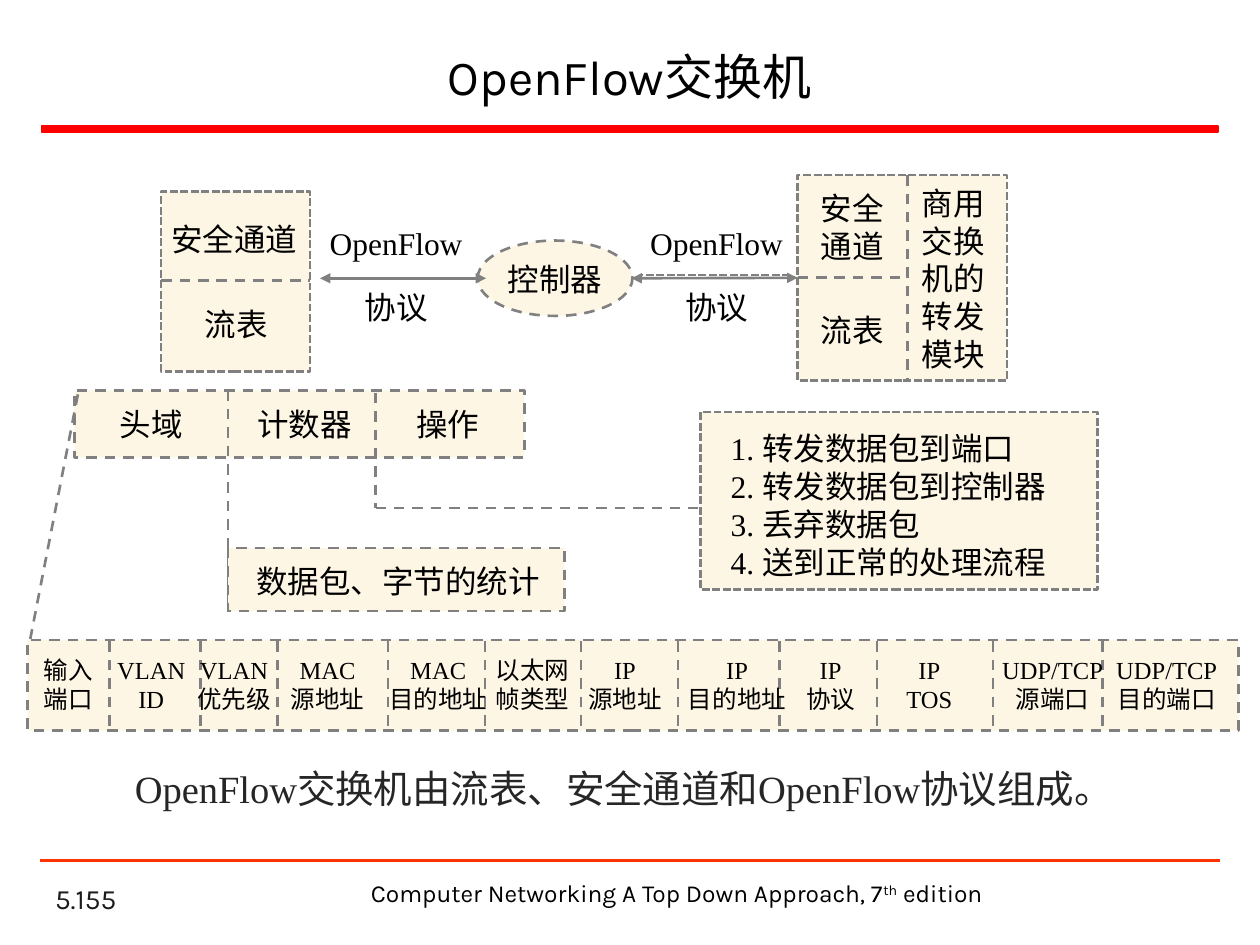
from lxml import etree
from pptx import Presentation
from pptx.dml.color import RGBColor
from pptx.enum.dml import MSO_LINE
from pptx.enum.shapes import MSO_CONNECTOR, MSO_SHAPE
from pptx.enum.text import MSO_ANCHOR, PP_ALIGN
from pptx.oxml.ns import qn
from pptx.util import Cm, Pt

RECT, OVAL = MSO_SHAPE.RECTANGLE, MSO_SHAPE.OVAL
STRAIGHT = MSO_CONNECTOR.STRAIGHT
DASH, SHORT_DASH = MSO_LINE.DASH, MSO_LINE.SQUARE_DOT
LEFT, CENTER = PP_ALIGN.LEFT, PP_ALIGN.CENTER
TOP, MIDDLE, BOTTOM = MSO_ANCHOR.TOP, MSO_ANCHOR.MIDDLE, MSO_ANCHOR.BOTTOM

SANS, SERIF = "Karla", "Times New Roman"
LABEL_W, LABEL_H = 3.73, 1.02


def color(value):
    return RGBColor.from_string(value)


def write(tf, text, size=18, font=SERIF, ink="000000", align=CENTER):
    """Write one paragraph per line; parts between ^ marks are superscript."""
    for i, line in enumerate(text.split("\n")):
        p = tf.paragraphs[0] if i == 0 else tf.add_paragraph()
        p.alignment = align
        for j, part in enumerate(line.split("^")):
            r = p.add_run()
            r.text = part
            r.font.size, r.font.name = Pt(size), font
            r.font.color.rgb = color(ink)
            if j % 2:
                r._r.get_or_add_rPr().set("baseline", "30000")


class Diagram:
    fill, stroke, weight = "FEF6E5", "808080", 1.5

    def __init__(self, slide):
        self.s = slide

    def outline(self, line, stroke, weight, dash):
        line.color.rgb = color(stroke)
        line.width = Pt(weight)
        if dash:
            line.dash_style = dash

    def box(self, x, y, w, h, kind=RECT, dash=DASH, fill=fill, stroke=stroke,
            weight=weight):
        sp = self.s.shapes.add_shape(kind, Cm(x), Cm(y), Cm(w), Cm(h))
        sp.shadow.inherit = False
        sp.fill.solid()
        sp.fill.fore_color.rgb = color(fill)
        self.outline(sp.line, stroke, weight, dash)
        return sp

    def line(self, x1, y1, x2, y2, dash=DASH, stroke=stroke, arrows=False):
        cn = self.s.shapes.add_connector(STRAIGHT, Cm(x1), Cm(y1), Cm(x2), Cm(y2))
        self.outline(cn.line, stroke, self.weight, dash)
        if arrows:
            ln = cn.line._get_or_add_ln()
            for end in ("a:headEnd", "a:tailEnd"):
                etree.SubElement(ln, qn(end)).set("type", "triangle")
        etree.SubElement(cn._element.spPr, qn("a:effectLst"))
        return cn

    def text(self, x, y, text, w=LABEL_W, h=LABEL_H, anchor=TOP, **style):
        tf = self.s.shapes.add_textbox(Cm(x), Cm(y), Cm(w), Cm(h)).text_frame
        tf.word_wrap = True
        tf.vertical_anchor = anchor
        write(tf, text, **style)


def main():
    prs = Presentation()
    prs.slide_width, prs.slide_height = Cm(25.4), Cm(19.05)
    d = Diagram(prs.slides.add_slide(prs.slide_layouts[6]))

    # Title and footer
    d.text(0.94, 0.64, "OpenFlow交换机", 23.5, 1.78, MIDDLE, size=28, font=SANS)
    d.box(0.84, 2.54, 23.72, 0.13, dash=None, fill="FF0000", stroke="FF0000", weight=1)
    d.line(0.81, 17.35, 24.59, 17.35, dash=None, stroke="FF3300")
    d.text(0.86, 17.73, "5.155", 5.28, 0.84, BOTTOM, size=16, font=SANS,
           ink="1C1C1C", align=LEFT)
    d.text(7.19, 17.58, "Computer Networking A Top Down Approach, 7^th^ edition",
           12.9, 0.86, size=14, font=SANS)

    # Switch on the left
    d.box(3.25, 3.86, 3, 3.63, dash=SHORT_DASH)
    d.line(3.25, 5.66, 6.25, 5.66)
    d.text(3.2, 4.32, "安全通道", align=LEFT)
    d.text(2.9, 6.02, "流表")

    # Controller
    d.box(9.63, 4.85, 3.12, 1.52, kind=OVAL)
    d.text(9.32, 5.11, "控制器")

    # Commercial switch on the right
    switch = d.box(16.08, 3.53, 4.22, 4.14, dash=SHORT_DASH)
    d.line(16.08, 5.59, 18.29, 5.59)
    d.line(18.29, 3.53, 18.29, 7.67)
    d.text(15.32, 6.15, "流表")
    d.text(15.32, 3.68, "安全\n通道", h=1.8)
    d.text(18.24, 3.58, "商用交换机的转发模块", 1.96, 4.11)

    # Protocol links
    d.line(6.45, 5.61, 9.8, 5.61, dash=None, arrows=True)
    link = d.line(12.73, 5.61, 16.08, 5.6, dash=None, arrows=True)
    link.end_connect(switch, 1)
    d.line(15.93, 5.54, 12.93, 5.54, dash=SHORT_DASH)
    for x in (6.12, 12.58):
        d.text(x, 4.39, "OpenFlow")
        d.text(x, 5.69, "协议")

    # Flow table entry with its details
    d.box(14.12, 8.31, 8, 3.58, dash=SHORT_DASH)
    d.box(1.5, 7.87, 9.07, 1.35)
    d.line(4.6, 7.87, 4.6, 12.34)
    d.box(4.6, 11.05, 6.78, 1.27)
    d.line(7.57, 7.92, 7.57, 10.24)
    d.line(7.57, 10.24, 14.07, 10.24)
    for x, name in ((1.19, "头域"), (4.27, "计数器"), (7.16, "操作")):
        d.text(x, 8.04, name)
    d.text(4.9, 11.2, "数据包、字节的统计", w=6.25)
    d.text(14.48, 8.53, "1. 转发数据包到端口\n2. 转发数据包到控制器\n"
           "3. 丢弃数据包\n4. 送到正常的处理流程", 7.04, 3.33, align=LEFT)

    # Header fields: left, width and name of each label
    d.line(1.57, 7.95, 0.61, 12.88)
    d.box(0.56, 12.9, 24.41, 1.83)
    for x in (2.21, 4.04, 5.59, 7.82, 9.78, 11.71, 13.67, 15.72, 17.68, 20.02, 22.23):
        d.line(x, 12.93, x, 14.73)
    fields = [
        (0.46, 1.83, "输入\n端口"),
        (2.01, 2.08, "VLAN\nID"),
        (3.68, 2.08, "VLAN\n优先级"),
        (5.26, 2.69, "MAC\n源地址"),
        (7.44, 2.79, "MAC\n目的地址"),
        (9.68, 2.11, "以太网\n帧类型"),
        (11.51, 2.18, "IP\n源地址"),
        (13.08, 3.56, "IP\n目的地址"),
        (15.82, 1.85, "IP\n协议"),
        (17.81, 1.85, "IP\nTOS"),
        (19.91, 2.62, "UDP/TCP\n源端口"),
        (22.15, 2.74, "UDP/TCP\n目的端口"),
    ]
    for x, w, name in fields:
        d.text(x, 13.08, name, w, 1.45, size=14)

    # Summary
    d.text(1.93, 15.29, "OpenFlow交换机由流表、安全通道和OpenFlow协议组成。",
           21.29, 1.19, size=22, ink="262626")

    prs.save("out.pptx")


if __name__ == "__main__":
    main()
